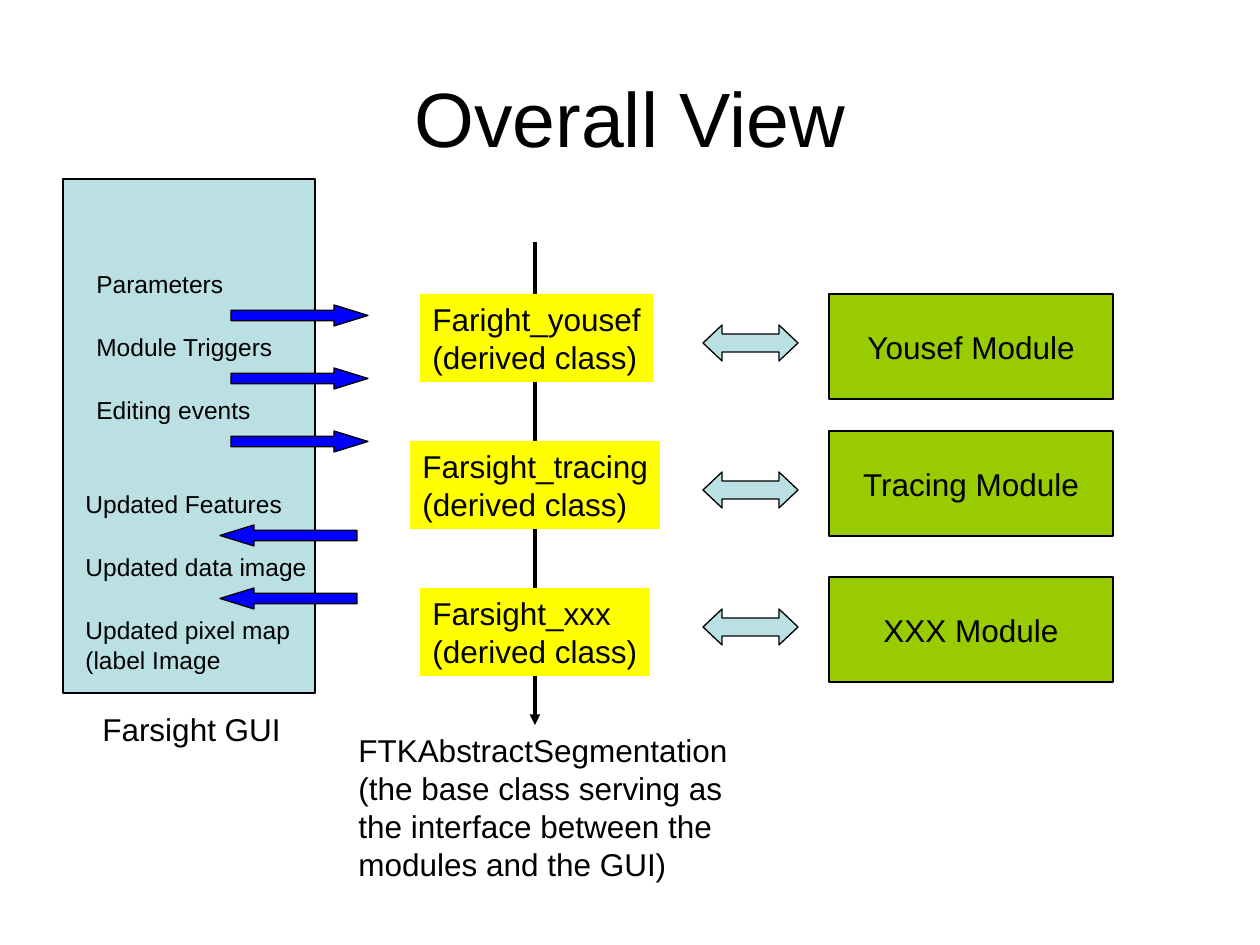
from lxml.etree import SubElement
from pptx import Presentation
from pptx.dml.color import RGBColor
from pptx.enum.shapes import MSO_CONNECTOR as Connector, MSO_SHAPE as Shape
from pptx.enum.text import MSO_ANCHOR as Anchor, MSO_AUTO_SIZE as AutoSize, PP_ALIGN as Align
from pptx.oxml.ns import qn
from pptx.util import Emu, Pt

PX_PER_INCH = 126
COLORS = {
    "black": "000000",
    "panel": "BBE0E3",
    "derived": "FFFF00",
    "module": "99CC00",
    "event": "0000FF",
}
INPUTS = [("Parameters", 153), ("Module Triggers", 204), ("Editing events", 180)]
UPDATES = [
    ("Updated Features", 223),
    ("Updated data image", 247),
    ("Updated pixel map\n(label Image", 230),
]
ROW_STEP = 63
CLASS_STEP = 147
CLASSES = [
    ("Faright_yousef", 420, 233),
    ("Farsight_tracing", 410, 250),
    ("Farsight_xxx", 420, 230),
]
MODULES = [
    ("Yousef Module", 294, 325),
    ("Tracing Module", 431, 472),
    ("XXX Module", 577, 609),
]


def px(value):
    return Emu(round(value * 914400 / PX_PER_INCH))


def color(name):
    return RGBColor.from_string(COLORS[name])


def write(shape, text, size, align=Align.LEFT, anchor=Anchor.TOP):
    frame = shape.text_frame
    frame.word_wrap = False
    frame.vertical_anchor = anchor
    frame.text = text
    for paragraph in frame.paragraphs:
        paragraph.alignment = align
        paragraph.font.size = Pt(size)
        paragraph.font.name = "Arial"
        paragraph.font.color.rgb = color("black")


def add_title(slide, box, text):
    title = slide.shapes.add_textbox(*map(px, box))
    write(title, text, 44, Align.CENTER, Anchor.MIDDLE)
    title.text_frame.word_wrap = True


def add_label(slide, box, text, size):
    label = slide.shapes.add_textbox(*map(px, box))
    write(label, text, size)
    label.text_frame.auto_size = AutoSize.SHAPE_TO_FIT_TEXT


def add_block(slide, kind, box, fill, outlined=True, head=None):
    shape = slide.shapes.add_shape(kind, *map(px, box))
    shape.shadow.inherit = False
    shape.fill.solid()
    shape.fill.fore_color.rgb = color(fill)
    if outlined:
        shape.line.color.rgb = color("black")
        shape.line.width = Pt(0.75)
    else:
        shape.line.fill.background()
    if head:
        shape.adjustments[0] = 0.5
        shape.adjustments[1] = head
    return shape


def add_arrow_line(slide, x, top, bottom):
    connector = slide.shapes.add_connector(
        Connector.STRAIGHT, px(x), px(top), px(x), px(bottom))
    connector.line.color.rgb = color("black")
    connector.line.width = Pt(2)
    properties = connector._element.spPr
    SubElement(properties.find(qn("a:ln")), qn("a:tailEnd"), type="triangle")
    SubElement(properties, qn("a:effectLst"))


def add_gui_rows(slide, rows, left, top, arrow, arrow_left, arrow_count):
    for row, (text, width) in enumerate(rows):
        y = top + row * ROW_STEP
        if row < arrow_count:
            add_block(slide, arrow, (arrow_left, y + 42, 137, 21), "event", head=1.62)
        height = 72 if "\n" in text else 43
        add_label(slide, (left, y, width, height), text, 14)


def add_classes(slide):
    for row, (name, left, width) in enumerate(CLASSES):
        box = (left, 294 + row * CLASS_STEP, width, 88)
        shape = add_block(slide, Shape.RECTANGLE, box, "derived", outlined=False)
        write(shape, f"{name}\n(derived class)", 18)


def add_modules(slide):
    for name, top, arrow_top in MODULES:
        add_block(slide, Shape.LEFT_RIGHT_ARROW, (703, arrow_top, 95, 36),
                  "panel", head=0.53)
        shape = add_block(slide, Shape.RECTANGLE, (829, top, 284, 105), "module")
        write(shape, name, 18, Align.CENTER, Anchor.MIDDLE)


def main():
    presentation = Presentation()
    presentation.slide_width = px(1260)
    presentation.slide_height = px(945)
    slide = presentation.slides.add_slide(presentation.slide_layouts[6])

    add_title(slide, (63, 38, 1134, 158), "Overall View")
    add_block(slide, Shape.RECTANGLE, (63, 179, 252, 514), "panel")
    add_label(slide, (90, 704, 204, 50), "Farsight GUI", 18)
    add_gui_rows(slide, INPUTS, 84, 263, Shape.RIGHT_ARROW, 231, 3)
    add_gui_rows(slide, UPDATES, 73, 483, Shape.LEFT_ARROW, 220, 2)

    add_arrow_line(slide, 535, 242, 725)
    add_label(slide, (346, 725, 404, 164),
              "FTKAbstractSegmentation\n(the base class serving as\n"
              "the interface between the\nmodules and the GUI)", 18)
    add_classes(slide)
    add_modules(slide)
    presentation.save("out.pptx")


if __name__ == "__main__":
    main()
